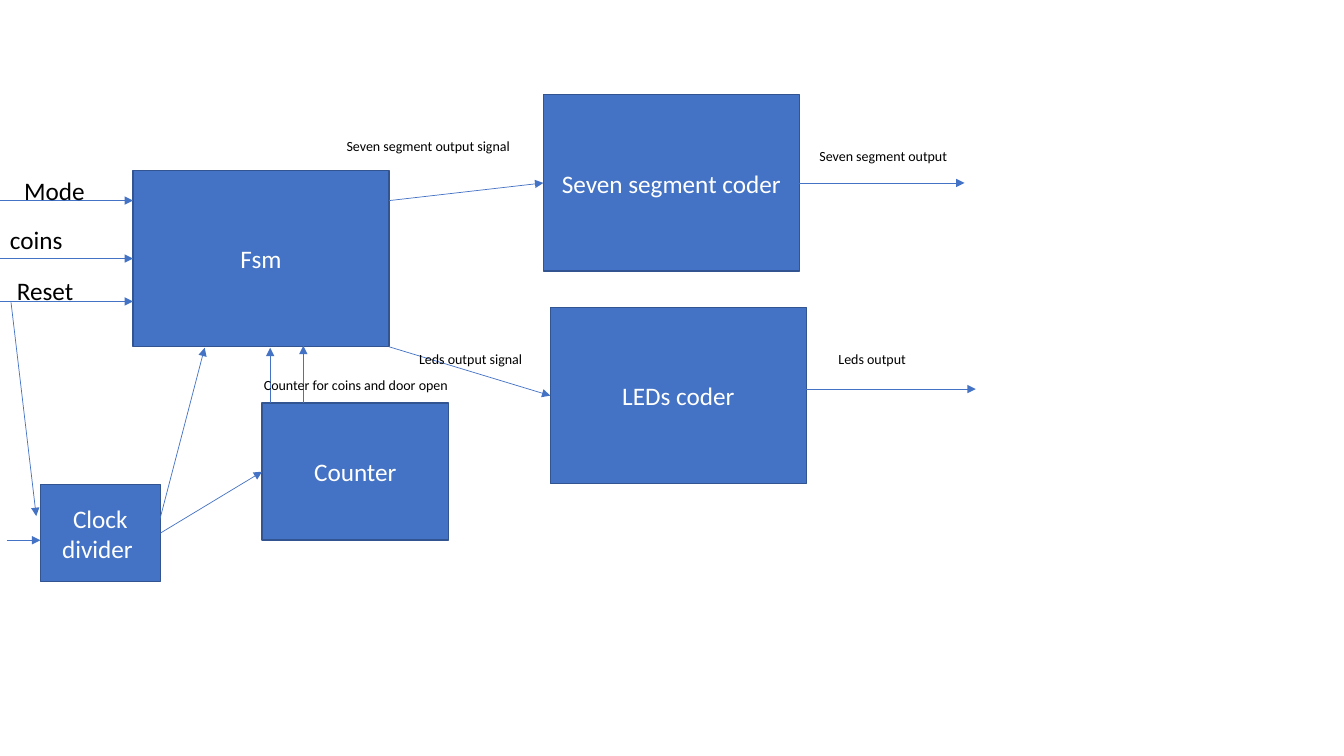
"""Build the block diagram of a state machine with its coders, counter and clock."""
from dataclasses import dataclass
from typing import Union

from lxml import etree
from pptx import Presentation
from pptx.dml.color import RGBColor
from pptx.enum.shapes import MSO_CONNECTOR, MSO_SHAPE
from pptx.enum.text import MSO_ANCHOR, MSO_AUTO_SIZE, PP_ALIGN
from pptx.oxml.ns import qn
from pptx.util import Pt

RECT = MSO_SHAPE.RECTANGLE
STRAIGHT = MSO_CONNECTOR.STRAIGHT
MIDDLE = MSO_ANCHOR.MIDDLE
CENTER = PP_ALIGN.CENTER
GROW = MSO_AUTO_SIZE.SHAPE_TO_FIT_TEXT
LEFT_SIDE, RIGHT_SIDE = 1, 3
BLUE, DARK_BLUE, WHITE, BLACK = "4472C4", "325491", "FFFFFF", "000000"
BIG, SMALL = 18, 10
LABEL_HEIGHT = {BIG: 29, SMALL: 19.4}
BLOCK_W, BLOCK_H = 182.9, 126


@dataclass
class Block:
    name: str
    x: float
    y: float
    w: float = BLOCK_W
    h: float = BLOCK_H


@dataclass
class Label:
    text: str
    x: float
    y: float
    w: float
    size: int = SMALL


@dataclass
class Arrow:
    start: Union[str, tuple]
    end: Union[str, tuple]


FSM, SEVEN, LEDS = "Fsm", "Seven segment coder", "LEDs coder"
COUNTER, CLOCK = "Counter", "Clock divider "

BLOCKS = [
    Block(FSM, 95, 121.7),
    Block(SEVEN, 388.1, 67.7),
    Block(LEDS, 393.1, 219.6),
    Block(COUNTER, 187.2, 288, 133.2, 97.9),
    Block(CLOCK, 28.8, 346.3, 85.7, 69.1),
]
ARROWS = [
    Arrow((0, 143.3), (95, 143.3)),
    Arrow((0, 184.7), FSM),
    Arrow((0, 215.3), (95, 215.3)),
    Arrow((277.9, 247.7), LEDS),
    Arrow((277.9, 143.3), SEVEN),
    Arrow(SEVEN, (689, 130.7)),
    Arrow((576, 277.9), (697, 277.9)),
    Arrow((5, 385.9), (28.8, 385.9)),
    Arrow(CLOCK, COUNTER),
    Arrow((111.6, 380.9), (146.2, 248.4)),
    Arrow((193, 288), (193, 248.4)),
    Arrow((216.7, 288), (216.7, 247)),
    Arrow((7.9, 216), (25.9, 368.6)),
]
LABELS = [
    Label("Mode", 10.1, 121.7, 62.6, BIG),
    Label("coins", 0, 156.6, 52.6, BIG),
    Label("Reset", 5, 193, 55.4, BIG),
    Label("Counter for coins and door open", 181.4, 265.7, 147.6),
    Label("Seven segment output signal", 240.5, 95, 133.2),
    Label("Leds output", 591.8, 247, 65.5),
    Label("Seven segment output", 578.2, 102.2, 111.6),
    Label("Leds output signal", 292.3, 247, 89.3),
]


def rgb(value: str) -> RGBColor:
    return RGBColor.from_string(value)


def write(tf, text: str, size: int, color: str, frame_format: dict) -> None:
    for key, value in frame_format.items():
        setattr(tf, key, value)
    r = tf.paragraphs[0].add_run()
    r.text = text
    for key, value in {"name": "Calibri", "size": Pt(size)}.items():
        setattr(r.font, key, value)
    r.font.color.rgb = rgb(color)


def add_block(s, block: Block):
    sp = s.shapes.add_shape(RECT, Pt(block.x), Pt(block.y), Pt(block.w), Pt(block.h))
    sp.shadow.inherit = False
    sp.fill.solid()
    sp.fill.fore_color.rgb = rgb(BLUE)
    sp.line.color.rgb = rgb(DARK_BLUE)
    sp.line.width = Pt(1)
    write(sp.text_frame, block.name, BIG, WHITE,
          {"word_wrap": True, "vertical_anchor": MIDDLE})
    sp.text_frame.paragraphs[0].alignment = CENTER
    return sp


def add_label(s, label: Label) -> None:
    sp = s.shapes.add_textbox(Pt(label.x), Pt(label.y), Pt(label.w),
                              Pt(LABEL_HEIGHT[label.size]))
    write(sp.text_frame, label.text, label.size, BLACK,
          {"word_wrap": False, "auto_size": GROW})


def add_arrow(s, arrow: Arrow, shapes: dict) -> None:
    x1, y1 = (0, 0) if arrow.start in shapes else arrow.start
    x2, y2 = (0, 0) if arrow.end in shapes else arrow.end
    line = s.shapes.add_connector(STRAIGHT, Pt(x1), Pt(y1), Pt(x2), Pt(y2))
    if arrow.start in shapes:
        line.begin_connect(shapes[arrow.start], RIGHT_SIDE)
    if arrow.end in shapes:
        line.end_connect(shapes[arrow.end], LEFT_SIDE)
    line.line.color.rgb = rgb(BLUE)
    line.line.width = Pt(0.5)
    etree.SubElement(line.line._get_or_add_ln(), qn("a:tailEnd"), type="triangle")
    etree.SubElement(line._element.spPr, qn("a:effectLst"))


def main() -> None:
    prs = Presentation()
    prs.slide_width, prs.slide_height = Pt(960), Pt(540)
    s = prs.slides.add_slide(prs.slide_layouts[6])
    shapes = {block.name: add_block(s, block) for block in BLOCKS}
    for arrow in ARROWS:
        add_arrow(s, arrow, shapes)
    for label in LABELS:
        add_label(s, label)
    prs.save("out.pptx")


if __name__ == "__main__":
    main()
